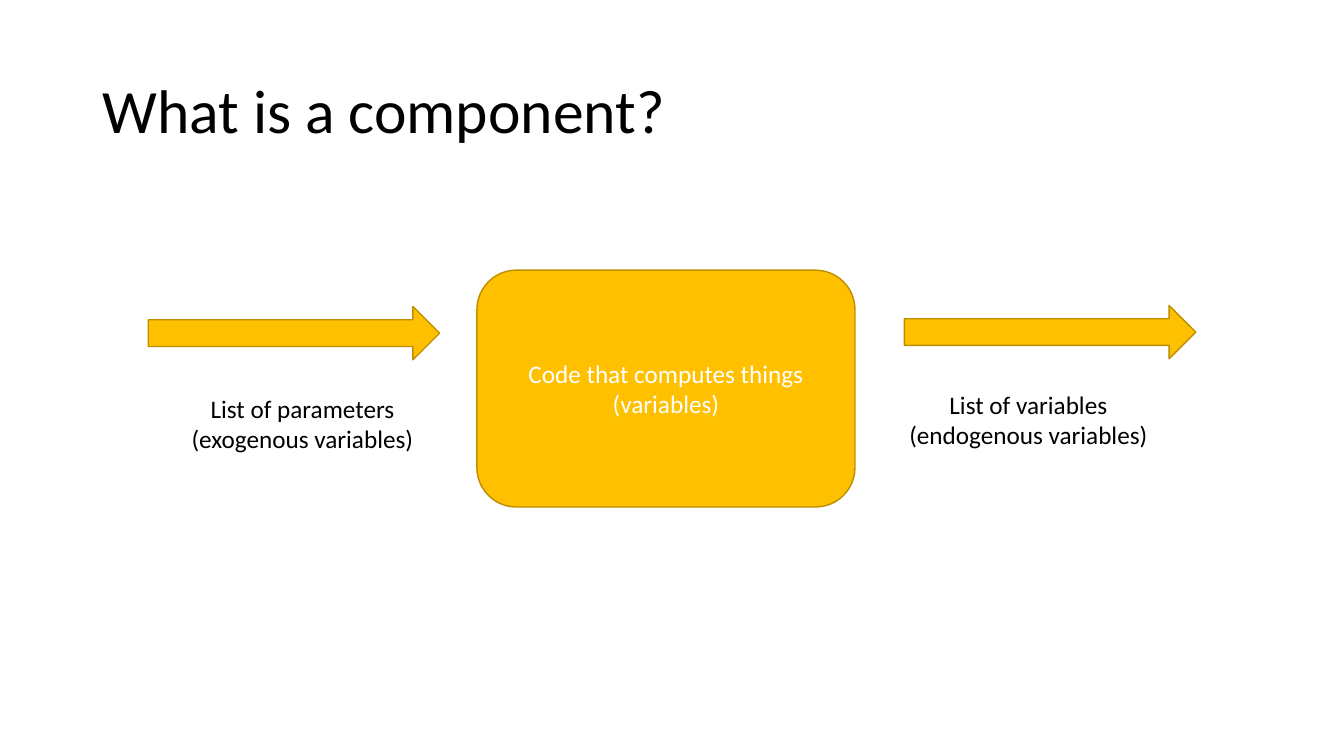
from dataclasses import dataclass

from pptx import Presentation
from pptx import util as u
from pptx.dml.color import RGBColor
from pptx.enum import shapes, text

HUES = {"gold": "FFC000", "edge": "BD8E00", "ink": "000000", "white": "FFFFFF"}
FONT = "Calibri"
KINDS = shapes.MSO_SHAPE
MID, TOP = text.MSO_ANCHOR.MIDDLE, text.MSO_ANCHOR.TOP
LEFT, CENTER = text.PP_ALIGN.LEFT, text.PP_ALIGN.CENTER


@dataclass(frozen=True)
class Area:
    """Left, top, width and height in inches."""
    x: float
    y: float
    w: float
    h: float

    def emu(self) -> list:
        """Return the four lengths for python-pptx."""
        return [u.Inches(v) for v in (self.x, self.y, self.w, self.h)]


@dataclass(frozen=True)
class Flow:
    """An arrow into or out of the component, with its label."""
    arrow: Area
    label: Area
    words: str


def color(name: str) -> RGBColor:
    """Look up a colour by name."""
    return RGBColor.from_string(HUES[name])


def apply(target, values: dict) -> None:
    """Set each attribute of the target from a dict."""
    for key, value in values.items():
        setattr(target, key, value)


def write(shape, words: str, hue: str, size: int = 18, align=CENTER,
          anchor=TOP, spacing: float = 1.0) -> None:
    """Put one formatted paragraph into a shape."""
    frame = shape.text_frame
    apply(frame, {"word_wrap": True, "vertical_anchor": anchor})
    para = frame.paragraphs[0]
    apply(para, {"alignment": align, "line_spacing": spacing})
    run = para.add_run()
    run.text = words
    apply(run.font, {"name": FONT, "size": u.Pt(size)})
    run.font.color.rgb = color(hue)


def block(slide, kind, area: Area):
    """Draw a gold shape with a darker edge."""
    shape = slide.shapes.add_shape(kind, *area.emu())
    shape.shadow.inherit = False
    shape.fill.solid()
    shape.fill.fore_color.rgb = color("gold")
    shape.line.color.rgb = color("edge")
    shape.line.width = u.Pt(1)
    return shape


def label(slide, area: Area, words: str, **style):
    """Add a text box with dark text."""
    box = slide.shapes.add_textbox(*area.emu())
    write(box, words, "ink", **style)
    return box


def flow(slide, item: Flow) -> None:
    """Draw an arrow and the label below it."""
    block(slide, KINDS.RIGHT_ARROW, item.arrow)
    box = label(slide, item.label, item.words)
    box.text_frame.auto_size = text.MSO_AUTO_SIZE.SHAPE_TO_FIT_TEXT


FLOWS = [
    Flow(Area(1.47, 3.04, 2.89, 0.53), Area(1.47, 3.85, 3.06, 0.71),
         "List of parameters (exogenous variables)"),
    Flow(Area(8.97, 3.03, 2.89, 0.53), Area(8.67, 3.81, 3.06, 0.71),
         "List of variables (endogenous variables)"),
]


def main() -> None:
    """Build and save the slide."""
    deck = Presentation()
    apply(deck, {"slide_width": u.Inches(13.33), "slide_height": u.Inches(7.5)})
    slide = deck.slides.add_slide(deck.slide_layouts[6])
    label(slide, Area(0.92, 0.4, 11.5, 1.45), "What is a component?",
          size=44, align=LEFT, anchor=MID, spacing=0.9)
    code = block(slide, KINDS.ROUNDED_RECTANGLE, Area(4.73, 2.68, 3.75, 2.35))
    write(code, "Code that computes things (variables)", "white", anchor=MID)
    for item in FLOWS:
        flow(slide, item)
    deck.save("out.pptx")


main()
